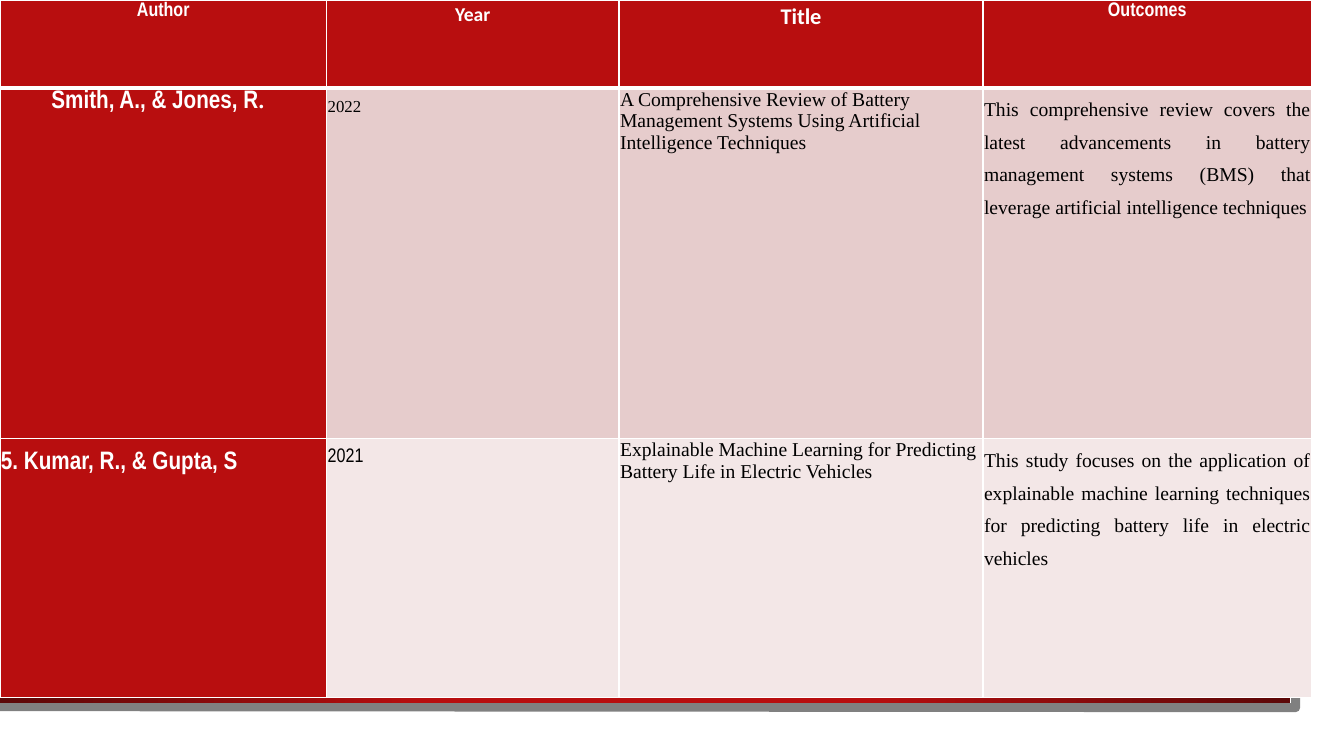
from dataclasses import dataclass

from lxml.etree import SubElement
from pptx import Presentation
from pptx.dml.color import RGBColor
from pptx.enum.shapes import MSO_SHAPE as Shape
from pptx.enum.text import PP_ALIGN as Align
from pptx.oxml.ns import qn
from pptx.util import Inches, Pt


@dataclass(frozen=True)
class Theme:
    red: str = "B80E0F"
    dark_red: str = "5C0707"
    rose: str = "E6CCCC"
    pale_rose: str = "F3E7E7"
    gray: str = "808080"
    white: str = "FFFFFF"
    black: str = "000000"
    narrow: str = "Arial Narrow"
    sans: str = "Calibri"
    serif: str = "Times New Roman"
    small: int = 12
    body: int = 14
    heading: int = 16
    author: int = 18
    loose: float = 1.5
    header_spacing: float = 1.07


@dataclass
class Text:
    runs: list
    align: Align = None
    spacing: float = None
    indent: float = 0
    level: int = 0


def rgb(value):
    return RGBColor.from_string(value)


class SlideBuilder:
    def __init__(self, slide, theme):
        self.slide = slide
        self.theme = theme

    def rectangle(self, left, top, width, height):
        shape = self.slide.shapes.add_shape(
            Shape.RECTANGLE, Inches(left), Inches(top), Inches(width), Inches(height))
        shape.shadow.inherit = False
        shape.line.fill.background()
        return shape

    def panel(self, *box):
        shape = self.rectangle(*box)
        shape.fill.solid()
        shape.fill.fore_color.rgb = rgb(self.theme.white)

    def radial_band(self, *box):
        shape = self.rectangle(*box)
        shape.fill.gradient()
        stops = ((0.34, self.theme.red), (1, self.theme.dark_red))
        for stop, (position, color) in zip(shape.fill.gradient_stops, stops):
            stop.position = position
            stop.color.rgb = rgb(color)
        gradient = shape._element.spPr.find(qn("a:gradFill"))
        gradient.remove(gradient.find(qn("a:lin")))
        circle = SubElement(gradient, qn("a:path"), path="circle")
        SubElement(circle, qn("a:fillToRect"), dict.fromkeys("ltrb", "50000"))

    def open_outline(self, points, width):
        start, *rest = [(Inches(x), Inches(y)) for x, y in points]
        builder = self.slide.shapes.build_freeform(*start)
        builder.add_line_segments(rest, close=False)
        shape = builder.convert_to_shape()
        shape.shadow.inherit = False
        shape.fill.background()
        shape.line.color.rgb = rgb(self.theme.gray)
        shape.line.width = Pt(width)

    def table(self, columns, heights, rows, fills):
        table = self.slide.shapes.add_table(
            len(rows), len(columns), 0, 0,
            Inches(sum(columns)), Inches(sum(heights))).table
        for column, width in zip(table.columns, columns):
            column.width = Inches(width)
        for row, height in zip(table.rows, heights):
            row.height = Inches(height)
        for row_index, (texts, colors) in enumerate(zip(rows, fills)):
            top = 3 if row_index == 1 else 1
            bottom = 3 if row_index == 0 else 1
            for column_index, (text, color) in enumerate(zip(texts, colors)):
                cell = table.cell(row_index, column_index)
                self.borders(cell, L=1, R=1, T=top, B=bottom)
                cell.fill.solid()
                cell.fill.fore_color.rgb = rgb(color)
                cell.margin_left = cell.margin_right = Inches(0.01)
                cell.margin_top = cell.margin_bottom = Inches(0.01)
                self.fill_paragraph(cell.text_frame.paragraphs[0], text)

    def borders(self, cell, **widths):
        properties = cell._tc.get_or_add_tcPr()
        for side, width in widths.items():
            line = SubElement(properties, qn(f"a:ln{side}"), w=str(Pt(width)))
            fill = SubElement(line, qn("a:solidFill"))
            SubElement(fill, qn("a:srgbClr"), val=self.theme.white)

    def fill_paragraph(self, paragraph, text):
        paragraph.alignment = text.align
        paragraph.line_spacing = text.spacing
        paragraph.level = text.level
        if text.indent:
            properties = paragraph._p.get_or_add_pPr()
            properties.set("marL", str(Inches(text.indent)))
            properties.set("indent", "0")
        for wording, font, size, color, bold in text.runs:
            run = paragraph.add_run()
            run.text = wording
            run.font.name = font
            run.font.size = Pt(size)
            run.font.color.rgb = rgb(color)
            run.font.bold = bold


def header(theme, wording, font, size):
    return Text([(wording, font, size, theme.white, True)],
                Align.CENTER, theme.header_spacing)


def author_run(theme, wording):
    return wording, theme.narrow, theme.author, theme.white, True


def year(theme, wording, font, size):
    return Text([(wording, font, size, theme.black, False)], spacing=theme.loose)


def title(theme, wording):
    return Text([(wording, theme.serif, theme.body, theme.black, False)])


def outcome(theme, wording):
    return Text([(wording, theme.serif, theme.body, theme.black, False)],
                Align.JUSTIFY, theme.loose)


def literature_rows(theme):
    return [
        [
            header(theme, "Author", theme.narrow, theme.body),
            header(theme, "Year", theme.sans, theme.body),
            header(theme, "Title", theme.sans, theme.heading),
            header(theme, "Outcomes", theme.narrow, theme.body),
        ],
        [
            Text([author_run(theme, "Smith, A., & Jones, R"),
                  (".", theme.serif, theme.heading, theme.white, True)],
                 indent=0.5, level=1),
            year(theme, "2022", theme.serif, theme.small),
            title(theme, "A Comprehensive Review of Battery Management Systems "
                         "Using Artificial Intelligence Techniques"),
            outcome(theme, "This comprehensive review covers the latest advancements "
                           "in battery management systems (BMS) that leverage "
                           "artificial intelligence techniques"),
        ],
        [
            Text([author_run(theme, "5. Kumar, R., & Gupta, S")], spacing=theme.loose),
            year(theme, "2021", theme.narrow, theme.body),
            title(theme, "Explainable Machine Learning for Predicting Battery Life "
                         "in Electric Vehicles"),
            outcome(theme, "This study focuses on the application of explainable "
                           "machine learning techniques for predicting battery life "
                           "in electric vehicles"),
        ],
    ]


def main():
    theme = Theme()
    presentation = Presentation()
    presentation.slide_width = Inches(13.33)
    presentation.slide_height = Inches(7.5)
    slide = presentation.slides.add_slide(presentation.slide_layouts[6])
    builder = SlideBuilder(slide, theme)
    builder.panel(0, 0, 13.1, 7.27)
    builder.open_outline([(12.82, 0), (12.85, 7.02), (-0.03, 7.01)], 6.5)
    builder.radial_band(0, 6.12, 12.8, 0.85)
    fills = [[theme.red] * 4] + [
        [theme.red] + [tint] * 3 for tint in (theme.rose, theme.pale_rose)]
    builder.table([3.24, 2.9, 3.61, 3.26], [0.87, 3.48, 2.57],
                  literature_rows(theme), fills)
    presentation.save("out.pptx")


if __name__ == "__main__":
    main()
